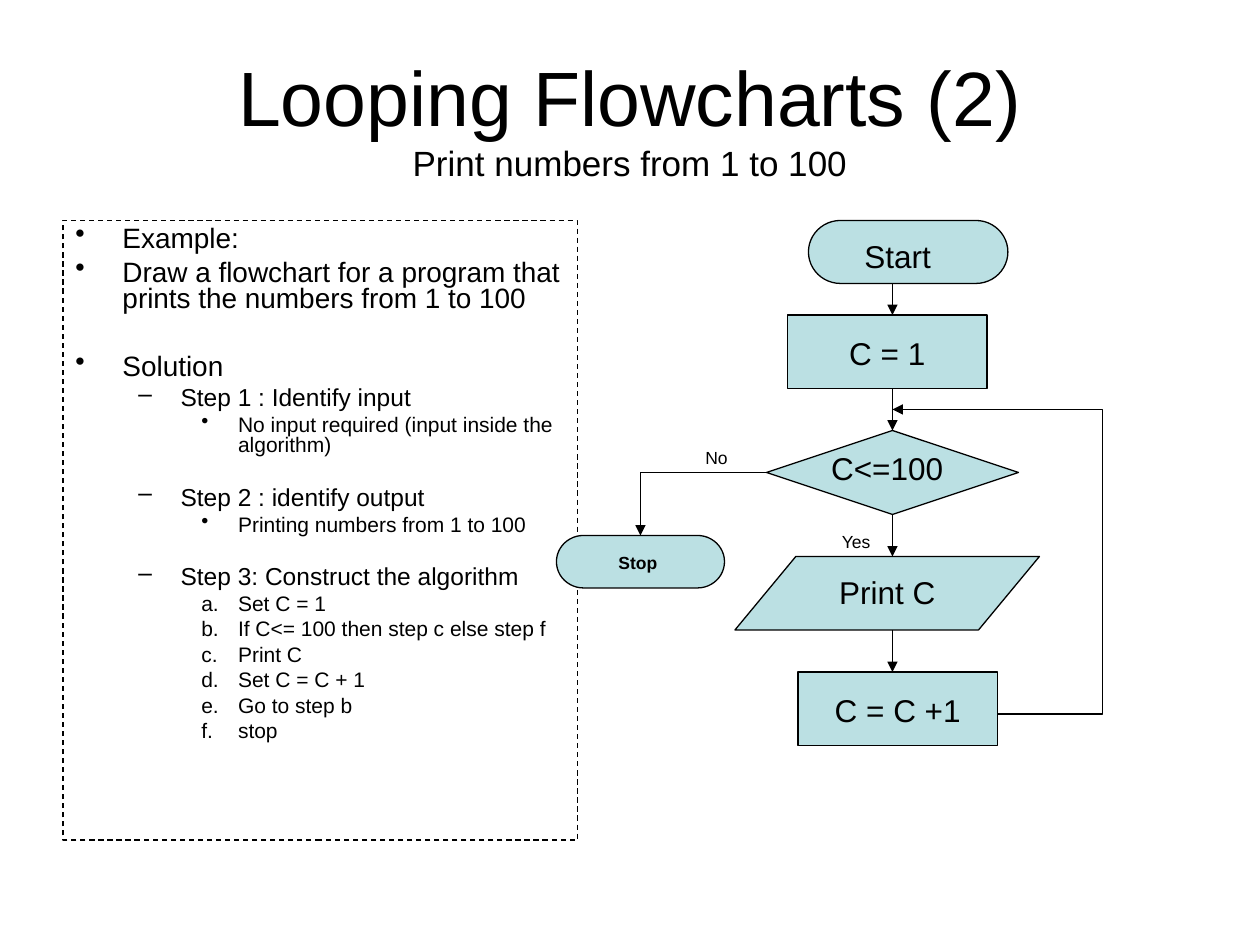
from lxml import etree
from pptx import Presentation
from pptx.dml.color import RGBColor
from pptx.enum.dml import MSO_LINE
from pptx.enum.shapes import MSO_CONNECTOR, MSO_SHAPE
from pptx.enum.text import MSO_ANCHOR, PP_ALIGN
from pptx.oxml.ns import qn
from pptx.util import Cm, Pt

BLACK = RGBColor(0x00, 0x00, 0x00)
PALE_TEAL = RGBColor(0xBB, 0xE0, 0xE3)
FONT = "Arial"
LINE_WIDTH = Pt(0.75)
TERMINATOR = MSO_SHAPE.FLOWCHART_TERMINATOR
PROCESS = MSO_SHAPE.RECTANGLE
DECISION = MSO_SHAPE.FLOWCHART_DECISION
DATA = MSO_SHAPE.FLOWCHART_DATA
CENTER, LEFT = PP_ALIGN.CENTER, PP_ALIGN.LEFT
TOP, MIDDLE = MSO_ANCHOR.TOP, MSO_ANCHOR.MIDDLE

# Positions are in grid steps of 12 to the inch.
GRID = 2.54 / 12

TITLE = [("Looping Flowcharts (2)", 44), ("Print numbers from 1 to 100", 20)]

# Level: font size, indent and hanging width in cm, space before in points
LEVELS = [(16, 0.95, 0.95, 4), (14, 2.12, 0.85, 3.5), (12, 3.28, 0.74, 3)]
LETTERED = "alphaLcPeriod"
# Level, bullet, extra space before in points, text
OUTLINE = [
    (0, "•", 0, "Example:"),
    (0, "•", 0, "Draw a flowchart for a program that prints the numbers from 1 to 100"),
    (0, "•", 19, "Solution"),
    (1, "–", 0, "Step 1 : Identify input"),
    (2, "•", 0, "No input required (input inside the algorithm)"),
    (1, "–", 14, "Step 2 : identify output"),
    (2, "•", 0, "Printing numbers from 1 to 100"),
    (1, "–", 14, "Step 3: Construct the algorithm"),
    (2, LETTERED, 0, "Set C = 1"),
    (2, LETTERED, 0, "If C<= 100 then step c else step f"),
    (2, LETTERED, 0, "Print C"),
    (2, LETTERED, 0, "Set C = C + 1"),
    (2, LETTERED, 0, "Go to step b"),
    (2, LETTERED, 0, "stop"),
]

# Text, preset, shape box, label box, font size, bold
NODES = [
    ("Start", TERMINATOR, (77, 21, 19, 6), (74, 22, 23, 4.8), 18, False),
    ("C = 1", PROCESS, (75, 30, 19, 7), (73, 31.2, 23, 4.8), 18, False),
    ("Print C", DATA, (70, 53, 29, 7), (73, 54, 23, 4.8), 18, False),
    ("Stop", TERMINATOR, (53, 51, 16, 5), (55, 52, 11.5, 3.2), 10, True),
    ("C<=100", DECISION, (73, 41, 24, 8), (73, 42.2, 23, 4.8), 18, False),
    ("C = C +1", PROCESS, (76, 64, 19, 7), (74, 65.2, 23, 4.8), 18, False),
]
BRANCH_LABELS = [("Yes", (79, 50, 8, 3.2)), ("No", (66, 42, 8, 3.2))]

FLOW_X = 85
FLOW_ARROWS = {  # top and bottom of each arrow
    "start to set": (23, 30),
    "set to decision": (35, 41),
    "decision to print": (49, 53),
    "print to increment": (60, 64),
}
BENT_ARROWS = [
    [(73, 45), (61, 45), (61, 51)],
    [(95, 68), (105, 68), (105, 39), (FLOW_X, 39)],
]


def steps(*values):
    return [Cm(value * GRID) for value in values]


def style_font(font, size, bold=False):
    font.name, font.size, font.bold = FONT, Pt(size), bold
    font.color.rgb = BLACK


def style_line(line):
    line.color.rgb = BLACK
    line.width = LINE_WIDTH


def add_label(slide, text, box, size, bold=False, align=CENTER):
    label = slide.shapes.add_textbox(*steps(*box))
    label.text_frame.word_wrap = True
    paragraph = label.text_frame.paragraphs[0]
    paragraph.text, paragraph.alignment = text, align
    style_font(paragraph.font, size, bold)
    return label


def add_arrowhead(shape):
    style_line(shape.line)
    line = shape.line._get_or_add_ln()
    etree.SubElement(line, qn("a:tailEnd"), type="triangle")


def add_title(slide):
    title = slide.shapes.add_textbox(*steps(6, 3.6, 108, 15))
    title.text_frame.word_wrap = True
    title.text_frame.vertical_anchor = MIDDLE
    paragraph = title.text_frame.paragraphs[0]
    paragraph.alignment = CENTER
    for index, (text, size) in enumerate(TITLE):
        if index:
            paragraph.add_line_break()
        run = paragraph.add_run()
        run.text = text
        style_font(run.font, size)


def set_bullet(paragraph, bullet, indent, hanging):
    properties = paragraph._p.get_or_add_pPr()
    properties.set("marL", str(Cm(indent)))
    properties.set("indent", str(-Cm(hanging)))
    if bullet == LETTERED:
        etree.SubElement(properties, qn("a:buAutoNum"), type=bullet)
    else:
        etree.SubElement(properties, qn("a:buChar"), char=bullet)


def add_outline(slide):
    panel = slide.shapes.add_shape(PROCESS, *steps(6, 21, 49, 59))
    panel.shadow.inherit = False
    panel.fill.background()
    style_line(panel.line)
    panel.line.dash_style = MSO_LINE.DASH
    frame = panel.text_frame
    frame.word_wrap, frame.vertical_anchor = True, TOP
    for index, (level, bullet, gap, text) in enumerate(OUTLINE):
        paragraph = frame.add_paragraph() if index else frame.paragraphs[0]
        size, indent, hanging, space = LEVELS[level]
        paragraph.text, paragraph.level = text, level
        paragraph.alignment = LEFT
        paragraph.line_spacing = 0.8
        paragraph.space_before = Pt(space + gap)
        set_bullet(paragraph, bullet, indent, hanging)
        style_font(paragraph.font, size)


def add_flow_arrow(slide, top, bottom):
    arrow = slide.shapes.add_connector(
        MSO_CONNECTOR.STRAIGHT, *steps(FLOW_X, top, FLOW_X, bottom))
    add_arrowhead(arrow)
    etree.SubElement(arrow._element.spPr, qn("a:effectLst"))
    return arrow


def add_bent_arrow(slide, points):
    start, *others = [steps(*point) for point in points]
    builder = slide.shapes.build_freeform(*start)
    builder.add_line_segments(others, close=False)
    arrow = builder.convert_to_shape()
    arrow.shadow.inherit = False
    arrow.fill.background()
    add_arrowhead(arrow)


def add_node(slide, text, preset, box, label_box, size, bold):
    node = slide.shapes.add_shape(preset, *steps(*box))
    node.shadow.inherit = False
    node.fill.solid()
    node.fill.fore_color.rgb = PALE_TEAL
    style_line(node.line)
    label = add_label(slide, text, label_box, size, bold)
    if preset != DECISION:
        slide.shapes.add_group_shape([node, label])
    return node


def main():
    presentation = Presentation()
    presentation.slide_width, presentation.slide_height = Cm(25.4), Cm(19.05)
    slide = presentation.slides.add_slide(presentation.slide_layouts[6])
    add_title(slide)
    add_outline(slide)

    # Arrows go behind the nodes, which hide the ends that run under them.
    arrows = {name: add_flow_arrow(slide, *ends) for name, ends in FLOW_ARROWS.items()}
    nodes = {node[0]: add_node(slide, *node) for node in NODES}
    arrows["set to decision"].end_connect(nodes["C<=100"], 0)
    arrows["decision to print"].begin_connect(nodes["C<=100"], 2)

    for points in BENT_ARROWS:
        add_bent_arrow(slide, points)
    for text, box in BRANCH_LABELS:
        add_label(slide, text, box, 10, align=LEFT)
    presentation.save("out.pptx")


if __name__ == "__main__":
    main()
